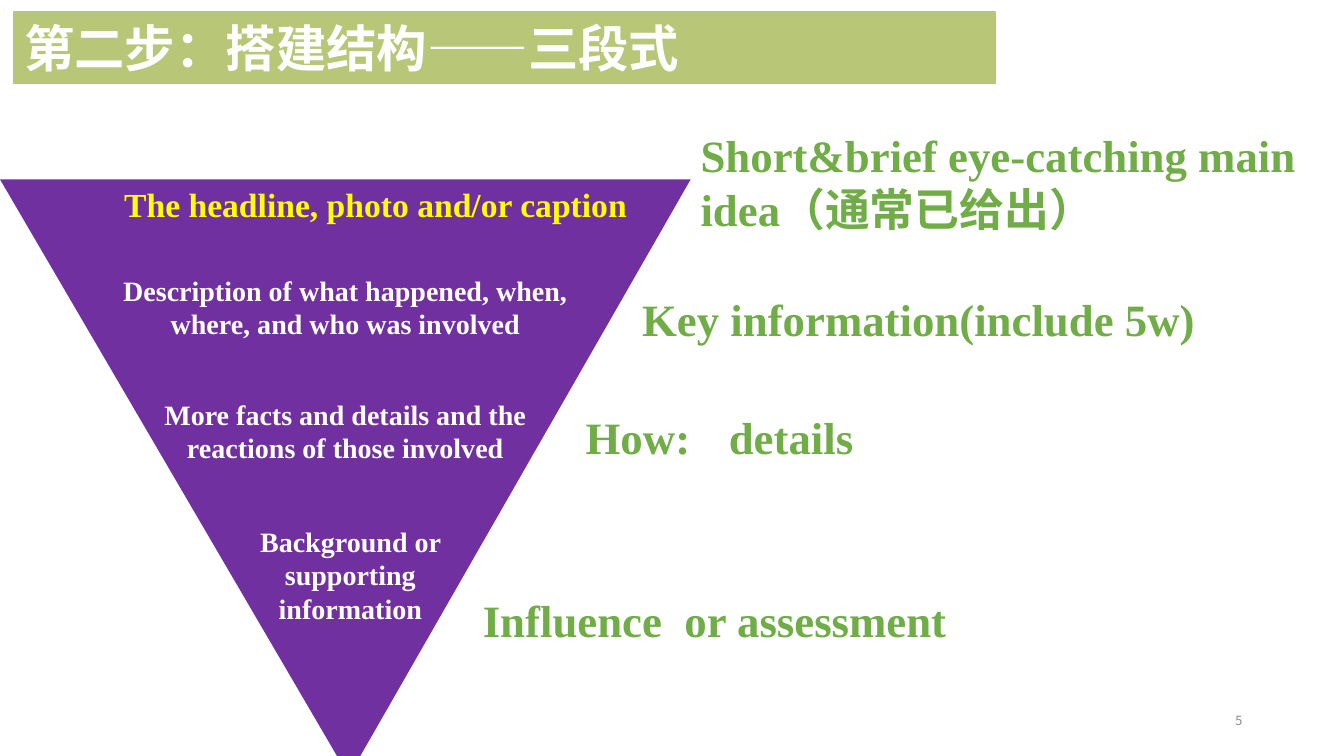
from pptx import Presentation
from pptx.dml.color import RGBColor
from pptx.enum import shapes, text
from pptx.oxml import ns
from pptx.util import Inches, Pt
from lxml import etree

LATIN, CJK = "Times New Roman", "Noto Sans CJK SC"
GREEN = RGBColor(0x70, 0xAD, 0x47)
OLIVE = RGBColor(0xB7, 0xC6, 0x77)
PURPLE = RGBColor(0x70, 0x30, 0xA0)
YELLOW = RGBColor(0xFF, 0xFF, 0x00)
WHITE = RGBColor(0xFF, 0xFF, 0xFF)
GREY = RGBColor(0x89, 0x89, 0x89)
LEFT, CENTER, RIGHT = text.PP_ALIGN.LEFT, text.PP_ALIGN.CENTER, text.PP_ALIGN.RIGHT

# Content: text, (left, top, width, height) in inches
TITLE = ("第二步：搭建结构——三段式", (0.14, 0.12, 9.73, 0.71))
PYRAMID = (0, 1.78, 6.85, 5.92)
HEADLINE = ("The headline, photo and/or caption", (0.6, 1.78, 6.25, 0.5))
LAYERS = [
    ("Description of what happened, when, where, and who was involved",
     (0.82, 2.66, 5.21, 0.77)),
    ("More facts and details and the reactions of those involved",
     (1.36, 3.89, 4.13, 0.77)),
    ("Background or supporting information", (2.07, 5.15, 2.81, 1.11)),
]
NOTES = [
    ("Short&brief eye-catching main idea（通常已给出）", (6.85, 1.22, 6.53, 1.18)),
    ("Key information(include 5w)", (6.27, 2.84, 8.58, 0.64)),
    ("How:", (5.71, 4.02, 8.58, 0.64)),
    ("details", (7.13, 4.02, 8.58, 0.64)),
    ("Influence  or assessment", (4.69, 5.83, 5.58, 0.64)),
]
PAGE = ("5", (9.42, 6.95, 3, 0.4))

prs = Presentation()
prs.slide_width, prs.slide_height = Inches(13.33), Inches(7.5)
s = prs.slides.add_slide(prs.slide_layouts[6])


def write(sp, words, size, color, align=LEFT, font=LATIN, bold=True,
          anchor=text.MSO_ANCHOR.TOP):
    tf = sp.text_frame
    tf.text = words
    tf.word_wrap = True
    tf.vertical_anchor = anchor
    p = tf.paragraphs[0]
    p.alignment = align
    r = p.runs[0]
    r.font.name, r.font.size, r.font.bold = font, Pt(size), bold
    r.font.color.rgb = color
    # East Asian characters take their own typeface
    ea = etree.SubElement(r.font._element, ns.qn("a:ea"))
    ea.set("typeface", CJK)


def add_text(item, *style, **options):
    words, box = item
    sp = s.shapes.add_textbox(*map(Inches, box))
    write(sp, words, *style, **options)


def add_solid(kind, box, color):
    sp = s.shapes.add_shape(kind, *map(Inches, box))
    sp.shadow.inherit = False
    sp.fill.solid()
    sp.fill.fore_color.rgb = color
    sp.line.fill.background()
    return sp


# Title bar
bar = add_solid(shapes.MSO_SHAPE.RECTANGLE, TITLE[1], OLIVE)
bar.line.color.rgb = OLIVE
bar.line.width = Pt(1)
write(bar, TITLE[0], 36, WHITE, font=CJK)

# Inverted pyramid and its layers
pyramid = add_solid(shapes.MSO_SHAPE.ISOSCELES_TRIANGLE, PYRAMID, PURPLE)
pyramid.adjustments[0] = 0.505
pyramid._element.spPr.find(ns.qn("a:xfrm")).set("flipV", "1")
add_text(HEADLINE, 24, YELLOW, CENTER)
for layer in LAYERS:
    add_text(layer, 20, WHITE, CENTER)

# Notes beside the layers
for note in NOTES:
    add_text(note, 32, GREEN)

# Page number
add_text(PAGE, 9, GREY, RIGHT, font=CJK, bold=False, anchor=text.MSO_ANCHOR.MIDDLE)

prs.save("out.pptx")
